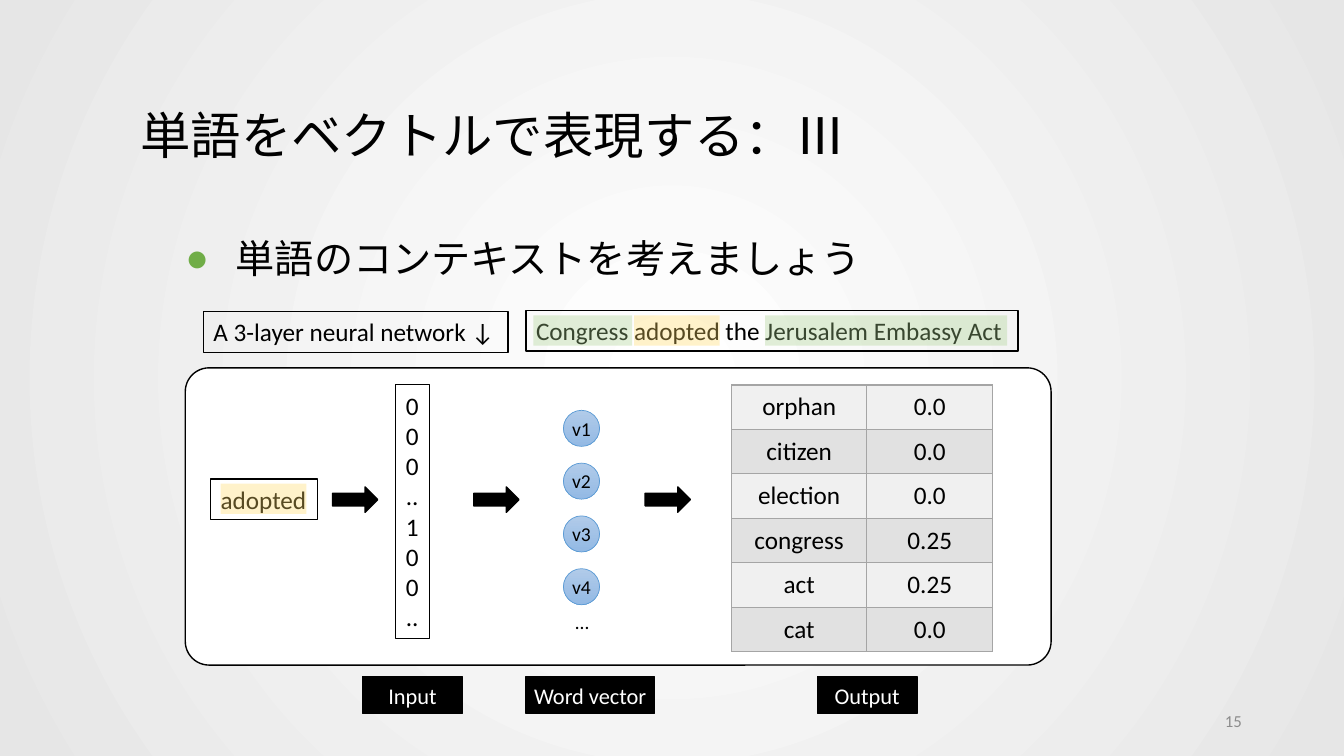
"""Build the slide on word vectors learned by a three-layer network."""
from lxml import etree
from pptx import Presentation
from pptx.dml.color import RGBColor
from pptx.enum.shapes import MSO_SHAPE
from pptx.enum.text import MSO_ANCHOR, MSO_AUTO_SIZE, PP_ALIGN
from pptx.oxml.ns import qn
from pptx.util import Cm, Pt

RECT, ROUNDED = MSO_SHAPE.RECTANGLE, MSO_SHAPE.ROUNDED_RECTANGLE
OVAL, ARROW = MSO_SHAPE.OVAL, MSO_SHAPE.RIGHT_ARROW
TOP, MIDDLE = MSO_ANCHOR.TOP, MSO_ANCHOR.MIDDLE
LEFT, CENTER, RIGHT = PP_ALIGN.LEFT, PP_ALIGN.CENTER, PP_ALIGN.RIGHT
GROW, FIXED = MSO_AUTO_SIZE.SHAPE_TO_FIT_TEXT, MSO_AUTO_SIZE.NONE

BLACK = RGBColor(0x00, 0x00, 0x00)
WHITE = RGBColor(0xFF, 0xFF, 0xFF)
EDGE_GRAY = RGBColor(0xE6, 0xE6, 0xE6)
NUMBER_GRAY = RGBColor(0x8C, 0x8C, 0x8C)
BORDER_GRAY = RGBColor(0xA5, 0xA5, 0xA5)
BANDS = RGBColor(0xF0, 0xF0, 0xF0), RGBColor(0xE1, 0xE1, 0xE1)
BULLET_GREEN = RGBColor(0x70, 0xAD, 0x47)
YELLOW = RGBColor(0xFF, 0xD9, 0x66)
GREEN = RGBColor(0xA9, 0xD1, 0x8E)
NODE_LIGHT = RGBColor(0xB1, 0xCB, 0xE9)
NODE_DARK = RGBColor(0x93, 0xB9, 0xE4)
NODE_LINE = RGBColor(0x5B, 0x9B, 0xD5)
FONT = "Calibri"

TITLE = "単語をベクトルで表現する：Ⅲ"
POINT = "単語のコンテキストを考えましょう"
ONE_HOT = ["0", "0", "0", "..", "1", "0", "0", ".."]
NODES = ["v1", "v2", "v3", "v4"]
OUTPUTS = [("orphan", "0.0"), ("citizen", "0.0"), ("election", "0.0"),
           ("congress", "0.25"), ("act", "0.25"), ("cat", "0.0")]
FRAMES = [
    (["A 3-layer neural network ↓"], (5.13, 7.85, 7.67, 1.03), 1),
    (["Congress adopted the Jerusalem Embassy Act"], (13.26, 7.82, 12.4, 1.03), 1),
    (["adopted"], (5.31, 12.07, 2.69, 1.03), 1),
    (ONE_HOT, (9.98, 9.7, 0.84, 6.4), 0.75),
]
HIGHLIGHTS = [(GREEN, 13.44, 7.95, 2.49), (YELLOW, 15.98, 7.95, 2.16),
              (GREEN, 19.28, 7.95, 6.1), (YELLOW, 5.56, 12.19, 2.16)]
ARROW_LEFTS = [8.38, 11.94, 16.26]
STAGES = [("Input", 9.14, 2.51), ("Word vector", 13.26, 3.23), ("Output", 20.6, 2.51)]
NODE_LEFT, NODE_TOP, NODE_SIZE, NODE_PITCH = 14.2, 10.34, 0.91, 1.33
COLUMN_WIDTHS, ROW_HEIGHT = (3.4, 3.18), 1.12


def write(frame, lines, size, color=BLACK, align=LEFT, anchor=TOP, fit=GROW):
    frame.word_wrap = False
    frame.auto_size = fit
    frame.vertical_anchor = anchor
    for i, line in enumerate(lines):
        paragraph = frame.paragraphs[0] if i == 0 else frame.add_paragraph()
        paragraph.alignment = align
        add_run(paragraph, line, size, color)


def add_run(paragraph, words, size, color=BLACK):
    run = paragraph.add_run()
    run.text = words
    run.font.name = FONT
    run.font.size = Pt(size)
    run.font.color.rgb = color


def place(placeholder, box):
    placeholder.left, placeholder.top, placeholder.width, placeholder.height = map(Cm, box)
    return placeholder.text_frame


def add_color(parent, tag, color):
    holder = etree.SubElement(parent, qn(tag))
    etree.SubElement(holder, qn("a:srgbClr"), val=str(color))


def add_figure(slide, kind, box, fill=None, line=None, weight=1):
    figure = slide.shapes.add_shape(kind, *map(Cm, box))
    figure.shadow.inherit = False
    if fill is None:
        figure.fill.background()
    else:
        figure.fill.solid()
        figure.fill.fore_color.rgb = fill
    if line is None:
        figure.line.fill.background()
    else:
        figure.line.color.rgb = line
        figure.line.width = Pt(weight)
    return figure


def paint_gradient(fill, start, end):
    fill.gradient()
    for stop, color in zip(fill.gradient_stops, (start, end)):
        stop.color.rgb = color


def paint_background(slide):
    paint_gradient(slide.background.fill, WHITE, EDGE_GRAY)
    gradient = slide.element.find(".//" + qn("a:gradFill"))
    gradient.remove(gradient.find(qn("a:lin")))
    circle = etree.SubElement(gradient, qn("a:path"), path="circle")
    etree.SubElement(circle, qn("a:fillToRect"), l="50000", t="50000", r="50000", b="50000")


def add_headings(slide):
    title, body = slide.placeholders
    write(place(title, (3.28, 2.49, 18.47, 1.8)), [TITLE], 36)
    frame = place(body, (4.42, 5.18, 17.75, 2.06))
    write(frame, [POINT], 28)
    point = frame.paragraphs[0]
    point.line_spacing = 1.5
    point.space_before = Pt(0)
    properties = point._p.get_or_add_pPr()
    properties.set("marL", str(Cm(1.27)))
    properties.set("indent", str(Cm(-1.27)))
    add_color(properties, "a:buClr", BULLET_GREEN)
    etree.SubElement(properties, qn("a:buChar"), char="●")


def add_nodes(slide):
    for i, name in enumerate(NODES):
        box = (NODE_LEFT, NODE_TOP + i * NODE_PITCH, NODE_SIZE, NODE_SIZE)
        node = add_figure(slide, OVAL, box, NODE_LIGHT, NODE_LINE, 0.5)
        paint_gradient(node.fill, NODE_LIGHT, NODE_DARK)
        node.fill.gradient_angle = 270
        write(node.text_frame, [name], 14, align=CENTER, anchor=MIDDLE, fit=FIXED)
    more = slide.shapes.add_textbox(Cm(14.25), Cm(15.24), Cm(0.89), Cm(0.86))
    write(more.text_frame, ["…"], 14)


def add_outputs(slide):
    size = sum(COLUMN_WIDTHS), ROW_HEIGHT * len(OUTPUTS)
    table = slide.shapes.add_table(len(OUTPUTS), 2, Cm(18.44), Cm(9.7), *map(Cm, size)).table
    table.first_row = table.horz_banding = False
    for column, width in zip(table.columns, COLUMN_WIDTHS):
        column.width = Cm(width)
    for r, values in enumerate(OUTPUTS):
        table.rows[r].height = Cm(ROW_HEIGHT)
        for c, value in enumerate(values):
            cell = table.cell(r, c)
            cell.vertical_anchor = MIDDLE
            properties = cell._tc.get_or_add_tcPr()
            for side in ("a:lnL", "a:lnR", "a:lnT", "a:lnB"):
                border = etree.SubElement(properties, qn(side), w=str(Pt(1)))
                add_color(border, "a:solidFill", BORDER_GRAY)
            cell.fill.solid()
            cell.fill.fore_color.rgb = BANDS[r % 2]
            paragraph = cell.text_frame.paragraphs[0]
            paragraph.alignment = CENTER
            add_run(paragraph, value, 18)


def main():
    deck = Presentation()
    deck.slide_width, deck.slide_height = Cm(33.87), Cm(19.05)
    slide = deck.slides.add_slide(deck.slide_layouts[1])
    paint_background(slide)
    add_headings(slide)
    panel = add_figure(slide, ROUNDED, (4.67, 9.27, 21.82, 7.49), WHITE, BLACK)
    panel.adjustments[0] = 0.08
    for lines, box, weight in FRAMES:
        frame = add_figure(slide, RECT, box, line=BLACK, weight=weight)
        write(frame.text_frame, lines, 18)
    for color, left, top, width in HIGHLIGHTS:
        marker = add_figure(slide, RECT, (left, top, width, 0.76), color)
        tint = marker.fill._xPr.find(".//" + qn("a:srgbClr"))
        etree.SubElement(tint, qn("a:alpha"), val="34000")
    for left in ARROW_LEFTS:
        add_figure(slide, ARROW, (left, 12.27, 1.14, 0.64), BLACK, BLACK)
    add_nodes(slide)
    add_outputs(slide)
    for name, left, width in STAGES:
        stage = add_figure(slide, RECT, (left, 17.05, width, 0.93), BLACK, BLACK)
        write(stage.text_frame, [name], 16, WHITE, CENTER, MIDDLE, FIXED)
    number = slide.shapes.add_textbox(Cm(23.93), Cm(17.65), Cm(7.62), Cm(1.02))
    write(number.text_frame, ["15"], 12, NUMBER_GRAY, RIGHT, MIDDLE, FIXED)
    number.text_frame.word_wrap = True
    deck.save("out.pptx")


if __name__ == "__main__":
    main()
